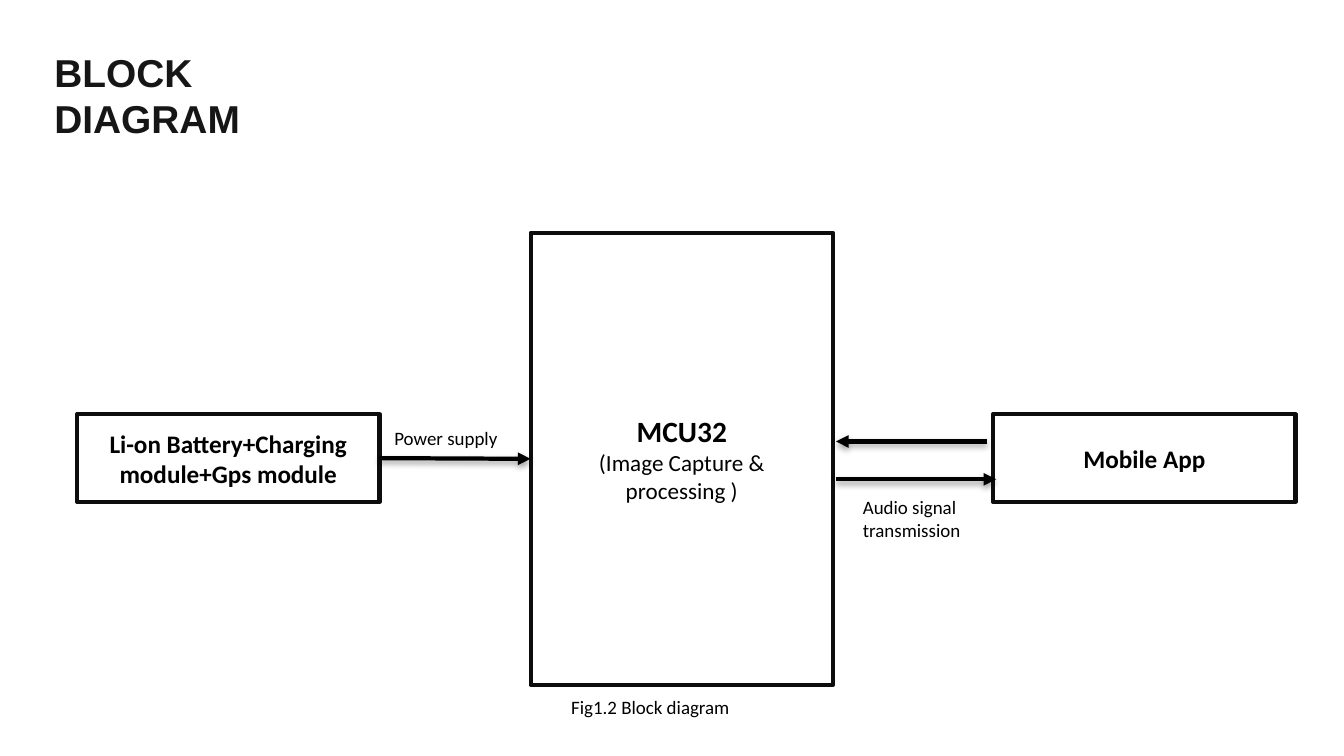
from lxml.etree import SubElement
from pptx import Presentation
from pptx.dml.color import RGBColor
from pptx.enum.shapes import MSO_CONNECTOR as Connector, MSO_SHAPE as Shape
from pptx.enum.text import MSO_ANCHOR as Anchor, PP_ALIGN as Align
from pptx.oxml.ns import qn
from pptx.util import Inches, Pt

WIDTH, HEIGHT = Inches(8.89), Inches(5)
COLORS = {"title": "161616", "text": "000000", "border": "0D0D0D", "box": "FFFFFF"}
TITLE = {"name": "Arial", "size": Pt(18.5), "bold": True}
CHIP = {"name": "Calibri", "size": Pt(14), "bold": True}
DETAIL = {"name": "Calibri", "size": Pt(11), "bold": False}
MODULE = {"name": "Calibri", "size": Pt(12), "bold": True}
LABEL = {"name": "Calibri", "size": Pt(9), "bold": False}
MODULE_WIDTH, MODULE_HEIGHT, MODULE_TOP = 22.5, 11.6, 54.8
CHIP_LEFT = 39.48


def rgb(key):
    """Return the named colour."""
    return RGBColor.from_string(COLORS[key])


def place(x, y):
    """Turn percentages of the slide's width and height into lengths."""
    return int(WIDTH * x / 100), int(HEIGHT * y / 100)


def write(frame, lines, align=Align.LEFT, color="text"):
    """Write one paragraph for each pair of text and format."""
    frame.word_wrap = True
    for index, (text, style) in enumerate(lines):
        paragraph = frame.add_paragraph() if index else frame.paragraphs[0]
        paragraph.text = text
        paragraph.alignment = align
        for attribute, value in style.items():
            setattr(paragraph.font, attribute, value)
        paragraph.font.color.rgb = rgb(color)


def add_label(slide, x, y, width, height, lines, color="text"):
    """Add free-standing text and return its frame."""
    frame = slide.shapes.add_textbox(*place(x, y), *place(width, height)).text_frame
    write(frame, lines, color=color)
    return frame


def add_block(slide, x, y, height, lines):
    """Add an outlined block of the diagram."""
    block = slide.shapes.add_shape(Shape.RECTANGLE, *place(x, y), *place(MODULE_WIDTH, height))
    block.shadow.inherit = False
    block.fill.solid()
    block.fill.fore_color.rgb = rgb("box")
    block.line.color.rgb = rgb("border")
    block.line.width = Pt(2)
    block.text_frame.vertical_anchor = Anchor.MIDDLE
    write(block.text_frame, lines, Align.CENTER)
    return block


def add_arrow(slide, start, end):
    """Add an arrow with a soft shadow below it."""
    arrow = slide.shapes.add_connector(Connector.STRAIGHT, *place(*start), *place(*end))
    arrow.line.color.rgb = rgb("text")
    arrow.line.width = Pt(2)
    SubElement(arrow.line._get_or_add_ln(), qn("a:tailEnd"), type="triangle")
    effects = SubElement(arrow._element.spPr, qn("a:effectLst"))
    shadow = SubElement(effects, qn("a:outerShdw"), blurRad=str(Pt(3.1)), dist=str(Pt(1.6)),
                        dir="5400000", rotWithShape="0")
    tint = SubElement(shadow, qn("a:srgbClr"), val=COLORS["text"])
    SubElement(tint, qn("a:alpha"), val="38000")
    return arrow


def main():
    """Build the block diagram slide."""
    deck = Presentation()
    deck.slide_width, deck.slide_height = WIDTH, HEIGHT
    slide = deck.slides.add_slide(deck.slide_layouts[6])

    heading = add_label(slide, 4.05, 6.4, 23.4, 12.4, [("BLOCK\vDIAGRAM", TITLE)], "title")
    for side in ("left", "top", "right", "bottom"):
        setattr(heading, f"margin_{side}", 0)
    add_label(slide, 41.4, 91, 20.6, 5, [("Fig1.2 Block diagram", LABEL)])

    controller = add_block(slide, CHIP_LEFT, 30.8, 59.8, [
        ("MCU32", CHIP), ("(Image Capture &", DETAIL), ("processing )", DETAIL)])
    add_block(slide, 73.9, MODULE_TOP, MODULE_HEIGHT, [("Mobile App", MODULE)])
    battery = add_block(slide, 5.74, MODULE_TOP, MODULE_HEIGHT, [
        ("Li-on Battery+Charging module+Gps module", MODULE)])

    add_label(slide, 63.1, 64.6, 20, 8, [("Audio signal", LABEL), ("transmission", LABEL)])
    add_label(slide, 28.24, 55.4, 11.24, 5, [("Power supply", LABEL)])

    power = add_arrow(slide, (28.24, 60.6), (CHIP_LEFT, 60.7))
    power.begin_connect(battery, 3)
    power.end_connect(controller, 1)
    add_arrow(slide, (62.2, 63.4), (74.13, 63.4))
    add_arrow(slide, (73.45, 58.4), (62.2, 58.4))

    deck.save("out.pptx")


if __name__ == "__main__":
    main()
